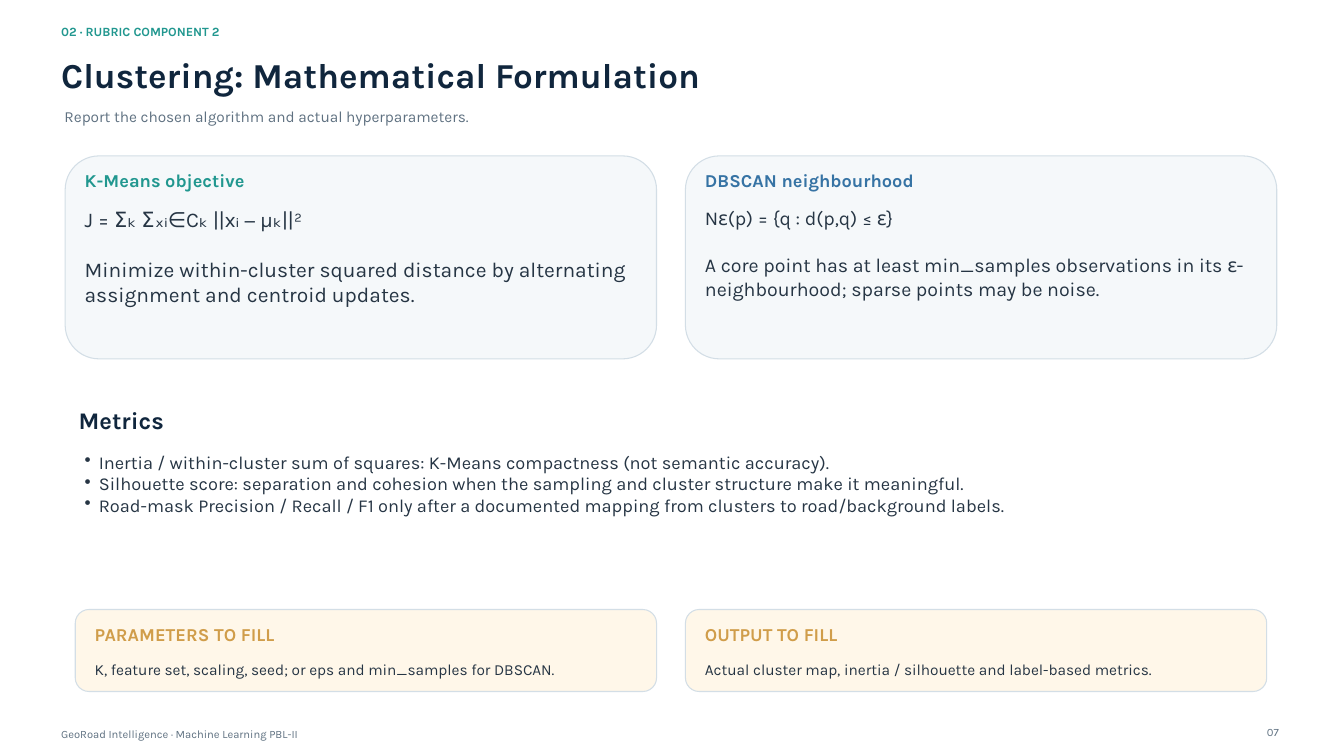
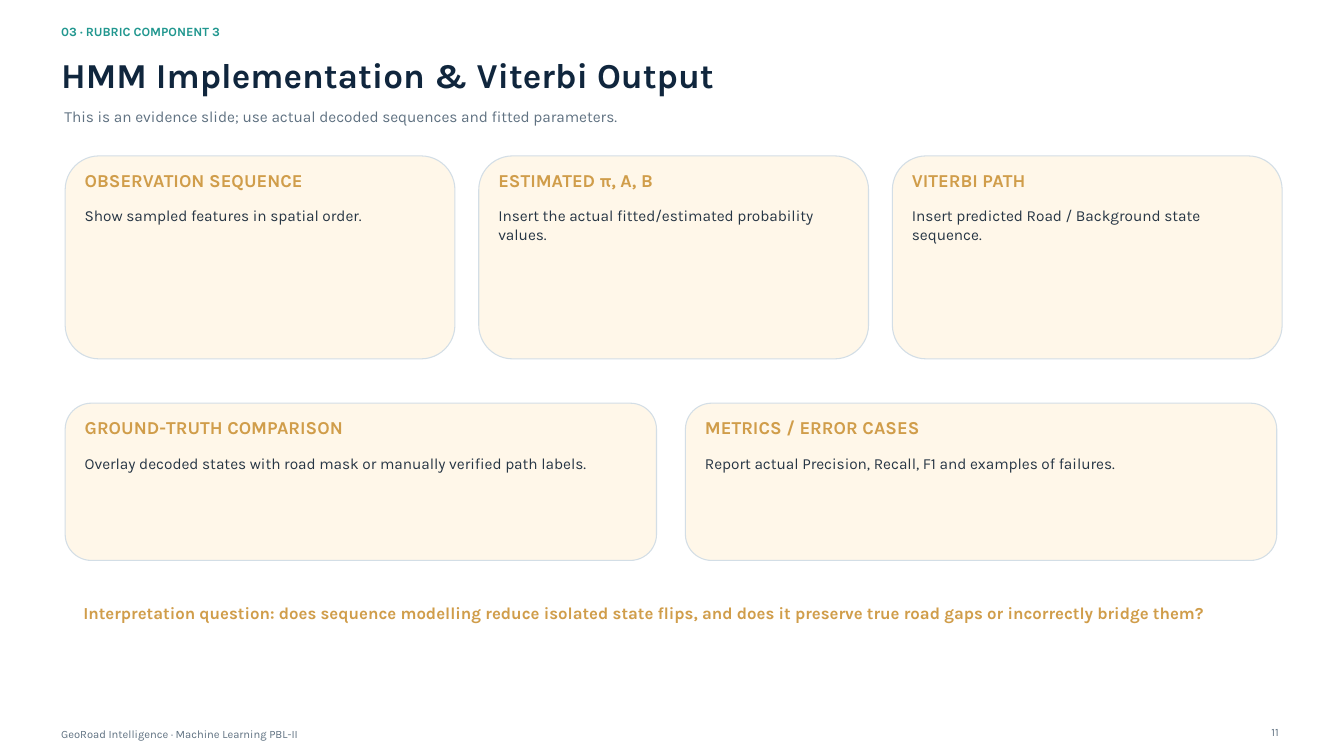
from pptx import Presentation
from pptx import util as u
from pptx.dml.color import RGBColor
from pptx.enum import shapes, text
from pptx.oxml import parse_xml
from pptx.oxml.ns import nsdecls

THEME = {
    "face": "Karla",
    "colours": {
        "navy": "10263D", "ink": "263544", "slate": "5F7181", "teal": "21978F",
        "blue": "3673A4", "amber": "D09D4A", "mist": "F5F8FA", "cream": "FFF7E9",
        "border": "D3DEE6", "paper": "FFFFFF",
    },
    "type": {
        "kicker": (13.5, "teal", True),
        "title": (37.5, "navy", True),
        "subtitle": (16.5, "slate", False),
        "card_teal": (19.5, "teal", True),
        "card_blue": (19.5, "blue", True),
        "card_amber": (19.5, "amber", True),
        "formula_large": (22.5, "ink", False),
        "formula": (21, "ink", False),
        "body": (16.5, "ink", False),
        "heading": (25.5, "navy", True),
        "bullets": (19.5, "ink", False),
        "question": (18, "amber", True),
        "footer": (12, "slate", False),
    },
    "leading": 1.2,
    "border_width": 1.13,
    "bullet_indent": 0.21,
}

FOOTER = "GeoRoad Intelligence · Machine Learning PBL-II"
FRAME = {
    "kicker": (0.91, 0.36, 18.08, 0.26),
    "title": (0.91, 0.79, 18.08, 0.7),
    "subtitle": (0.96, 1.6, 17.93, 0.37),
    "footer": (0.91, 10.82, 15.68, 0.16),
    "number": (18.28, 10.79, 0.75, 0.18),
}
PAD_X, HEAD_Y, HEAD_H, BODY_Y, PAD_BOTTOM = 0.29, 0.2, 0.37, 0.75, 0.17

ROWS = {
    "halves_top": dict(left=0.97, top=2.32, width=8.8, height=3.02, gap=0.43),
    "thirds_top": dict(left=0.97, top=2.32, width=5.8, height=3.02, gap=0.355),
    "halves_middle": dict(left=0.97, top=6, width=8.8, height=2.34, gap=0.43),
    "halves_bottom": dict(left=1.12, top=9.07, width=8.65, height=1.22, gap=0.43),
}


def to_fill(head, body):
    return "cream", "card_amber", head, "body", [body]


SLIDES = [
    {
        "kicker": "02 · RUBRIC COMPONENT 2",
        "title": "Clustering: Mathematical Formulation",
        "subtitle": "Report the chosen algorithm and actual hyperparameters.",
        "number": "07",
        "cards": {
            "halves_top": [
                ("mist", "card_teal", "K-Means objective", "formula_large", [
                    "J = Σₖ Σₓᵢ∈Cₖ ||xᵢ − μₖ||²",
                    "Minimize within-cluster squared distance by alternating "
                    "assignment and centroid updates."]),
                ("mist", "card_blue", "DBSCAN neighbourhood", "formula", [
                    "Nε(p) = {q : d(p,q) ≤ ε}",
                    "A core point has at least min_samples observations in its "
                    "ε-neighbourhood; sparse points may be noise."]),
            ],
            "halves_bottom": [
                to_fill("PARAMETERS TO FILL",
                        "K, feature set, scaling, seed; or eps and min_samples for DBSCAN."),
                to_fill("OUTPUT TO FILL",
                        "Actual cluster map, inertia / silhouette and label-based metrics."),
            ],
        },
        "passages": [
            ("heading", (1.17, 6.04, 17.63, 0.45), ["Metrics"]),
            ("bullets", (1.26, 6.71, 17.31, 1.9), [
                "Inertia / within-cluster sum of squares: K-Means compactness "
                "(not semantic accuracy).",
                "Silhouette score: separation and cohesion when the sampling and "
                "cluster structure make it meaningful.",
                "Road-mask Precision / Recall / F1 only after a documented mapping "
                "from clusters to road/background labels."]),
        ],
    },
    {
        "kicker": "03 · RUBRIC COMPONENT 3",
        "title": "HMM Implementation & Viterbi Output",
        "subtitle": "This is an evidence slide; use actual decoded sequences "
                    "and fitted parameters.",
        "number": "11",
        "cards": {
            "thirds_top": [
                to_fill("OBSERVATION SEQUENCE", "Show sampled features in spatial order."),
                to_fill("ESTIMATED π, A, B",
                        "Insert the actual fitted/estimated probability values."),
                to_fill("VITERBI PATH",
                        "Insert predicted Road / Background state sequence."),
            ],
            "halves_middle": [
                to_fill("GROUND-TRUTH COMPARISON",
                        "Overlay decoded states with road mask or manually verified "
                        "path labels."),
                to_fill("METRICS / ERROR CASES",
                        "Report actual Precision, Recall, F1 and examples of failures."),
            ],
        },
        "passages": [
            ("question", (1.24, 8.97, 17.33, 0.75), [
                "Interpretation question: does sequence modelling reduce isolated state "
                "flips, and does it preserve true road gaps or incorrectly bridge them?"]),
        ],
    },
]


def colour(name):
    return RGBColor.from_string(THEME["colours"][name])


def apply(target, values):
    for name, value in values.items():
        setattr(target, name, value)


def add_bullet(paragraph):
    indent = u.Inches(THEME["bullet_indent"])
    properties = paragraph._p.get_or_add_pPr()
    properties.set("marL", str(indent))
    properties.set("indent", str(-indent))
    properties.append(parse_xml(f'<a:buChar {nsdecls("a")} char="•"/>'))


def write(slide, style, place, lines, align=text.PP_ALIGN.LEFT, gap=0):
    size, ink, bold = THEME["type"][style]
    frame = slide.shapes.add_textbox(*map(u.Inches, place)).text_frame
    apply(frame, dict(margin_left=0, margin_top=0, margin_right=0, margin_bottom=0,
                      word_wrap=True, auto_size=text.MSO_AUTO_SIZE.SHAPE_TO_FIT_TEXT))
    for index, line in enumerate(lines):
        paragraph = frame.add_paragraph() if index else frame.paragraphs[0]
        if style == "bullets":
            add_bullet(paragraph)
        apply(paragraph, dict(alignment=align, line_spacing=u.Pt(size * THEME["leading"])))
        if index and gap:
            paragraph.space_before = u.Pt(gap)
        run = paragraph.add_run()
        run.text = line
        apply(run.font, dict(name=THEME["face"], size=u.Pt(size), bold=bold))
        run.font.color.rgb = colour(ink)


def add_card(slide, place, card):
    left, top, width, height = place
    fill, head_style, head, body_style, body = card
    panel = slide.shapes.add_shape(shapes.MSO_SHAPE.ROUNDED_RECTANGLE,
                                   *map(u.Inches, place))
    panel.shadow.inherit = False
    panel.fill.solid()
    panel.fill.fore_color.rgb = colour(fill)
    panel.line.color.rgb = colour("border")
    panel.line.width = u.Pt(THEME["border_width"])

    inner_left, inner_width = left + PAD_X, width - 2 * PAD_X
    write(slide, head_style, (inner_left, top + HEAD_Y, inner_width, HEAD_H), [head])
    write(slide, body_style,
          (inner_left, top + BODY_Y, inner_width, height - BODY_Y - PAD_BOTTOM),
          body, gap=THEME["type"][body_style][0] * THEME["leading"])


def add_row(slide, row, cards):
    for index, card in enumerate(cards):
        left = row["left"] + index * (row["width"] + row["gap"])
        add_card(slide, (left, row["top"], row["width"], row["height"]), card)


def add_frame(slide, content):
    slide.background.fill.solid()
    slide.background.fill.fore_color.rgb = colour("paper")
    for part in ("kicker", "title", "subtitle"):
        write(slide, part, FRAME[part], [content[part]])
    write(slide, "footer", FRAME["footer"], [FOOTER])
    write(slide, "footer", FRAME["number"], [content["number"]], text.PP_ALIGN.RIGHT)


def main():
    deck = Presentation()
    apply(deck, dict(slide_width=u.Inches(20), slide_height=u.Inches(11.25)))
    for content in SLIDES:
        slide = deck.slides.add_slide(deck.slide_layouts[6])
        add_frame(slide, content)
        for row, cards in content["cards"].items():
            add_row(slide, ROWS[row], cards)
        for style, place, lines in content["passages"]:
            write(slide, style, place, lines)
    deck.save("out.pptx")


if __name__ == "__main__":
    main()
